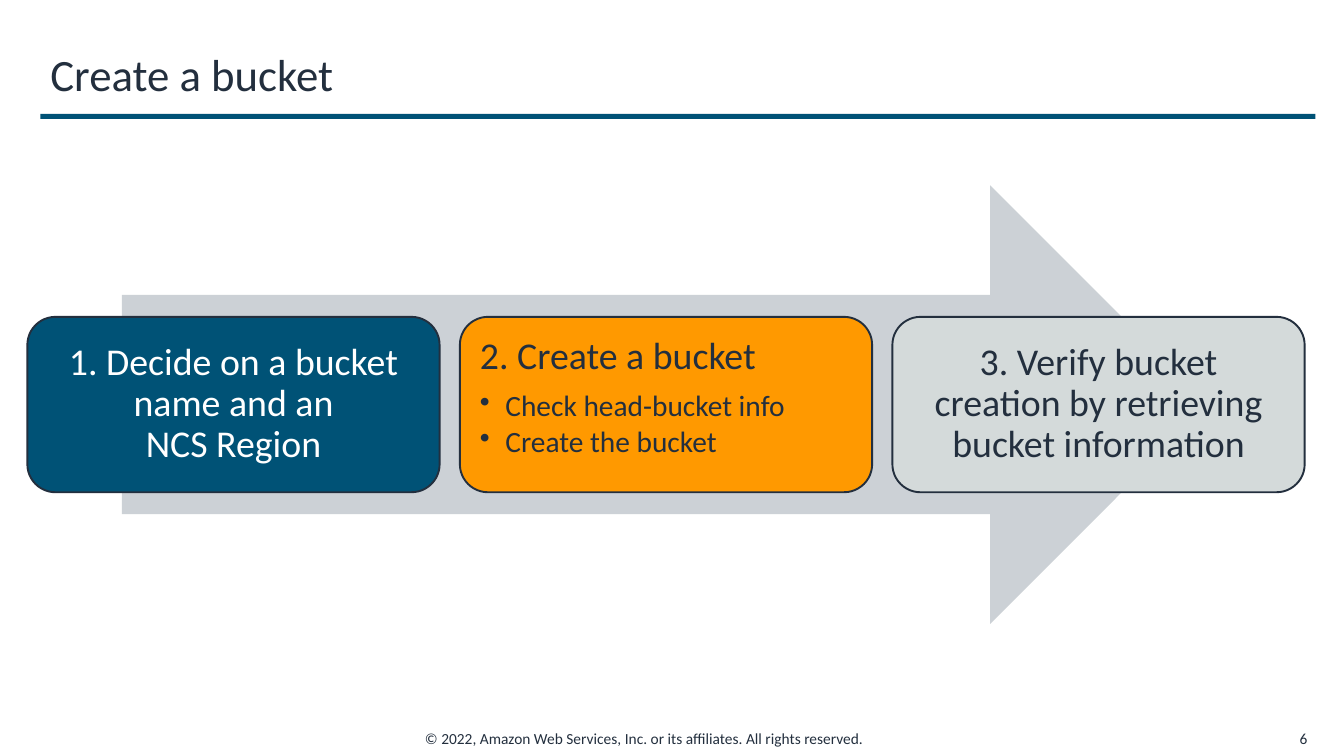
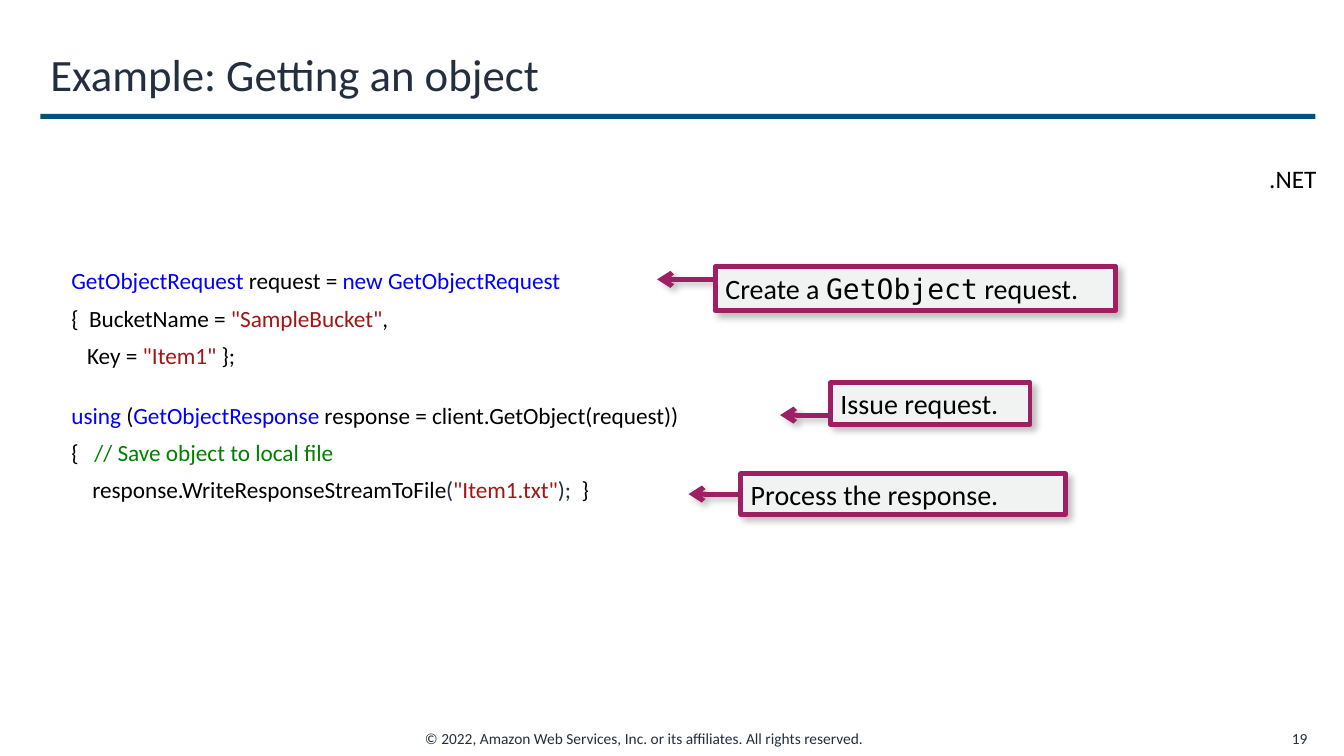
from lxml import etree
from pptx import Presentation, util as u
from pptx.dml.color import RGBColor
from pptx.enum import shapes, text
from pptx.oxml import ns

COLOURS = {
    "ink": "232F3E", "teal": "005276", "orange": "FF9900", "mist": "D4DADA",
    "arrow": "CCD1D6", "white": "FFFFFF", "black": "000000", "pale": "F1F3F3",
    "plum": "9E1F63", "keyword": "0000FF", "string": "A31515", "comment": "008000",
}
BODY_FONT, CODE_FONT = "Calibri", "DejaVu Sans Mono"
COPYRIGHT = "© 2022, Amazon Web Services, Inc. or its affiliates. All rights reserved."
LEFT, MIDDLE, RIGHT = text.PP_ALIGN.LEFT, text.PP_ALIGN.CENTER, text.PP_ALIGN.RIGHT

CARDS = [
    ("1. Decide on a bucket name and an\nNCS Region", [], "teal", "white"),
    ("2. Create a bucket", ["Check head-bucket info", "Create the bucket"], "orange", "ink"),
    ("3. Verify bucket creation by retrieving bucket information", [], "mist", "ink"),
]
CODE = [
    ([("GetObjectRequest", "keyword"), (" request = ", "black"),
      ("new GetObjectRequest", "keyword")], 10.7),
    ([("{  BucketName = ", "black"), ('"SampleBucket"', "string"), (",", "black")], 10.7),
    ([("   Key = ", "black"), ('"Item1"', "string"), (" };", "black")], 26.9),
    ([("using", "keyword"), (" (", "black"), ("GetObjectResponse", "keyword"),
      (" response = client.GetObject(request))", "black")], 10.7),
    ([("{   ", "black"), ("// Save object to local file", "comment")], 10.7),
    ([("    response.WriteResponseStreamToFile", "black"), ("(", "ink"),
      ('"Item1.txt"', "string"), (");  ", "ink"), ("}", "black")], 0),
]
CALLOUTS = [
    ((18.03, 6.71, 10.08, 1.12), 1.47, 0.33,
     [("Create a ", BODY_FONT), ("GetObject", CODE_FONT), (" request.", BODY_FONT)]),
    ((20.93, 9.65, 5.03, 1.04), 1.27, 0.81, [("Issue request.", BODY_FONT)]),
    ((18.67, 11.94, 8.18, 1.02), 1.32, 0.51, [("Process the response.", BODY_FONT)]),
]


def rgb(name):
    """Return the named colour."""
    return RGBColor.from_string(COLOURS[name])


def lengths(*values):
    """Turn centimetres into lengths."""
    return [u.Cm(value) for value in values]


def add_span(para, words, size, colour, font=BODY_FONT):
    """Add one run, breaking the line at each newline."""
    for index, part in enumerate(words.split("\n")):
        if index:
            para.add_line_break()
        span = para.add_run()
        span.text = part
        span.font.size, span.font.name = u.Pt(size), font
        span.font.color.rgb = rgb(colour)


def add_para(frame, align=LEFT, spacing=1.0, after=0, bullet=False):
    """Return the first unused paragraph of a frame, styled."""
    first = frame.paragraphs[0]
    para = frame.add_paragraph() if first.runs else first
    if bullet:
        properties = para._p.get_or_add_pPr()
        properties.set("marL", str(u.Cm(0.64)))
        properties.set("indent", str(-u.Cm(0.64)))
        etree.SubElement(properties, ns.qn("a:buChar"), char="•")
    para.alignment, para.line_spacing = align, spacing
    para.space_after = u.Pt(after)
    return para


def add_text(page, box, words, size, colour="ink", align=LEFT, inset=None,
             anchor=text.MSO_ANCHOR.MIDDLE):
    """Add a text box and return its frame."""
    frame = page.shapes.add_textbox(*lengths(*box)).text_frame
    frame.word_wrap, frame.vertical_anchor = True, anchor
    if inset is not None:
        set_inset(frame, inset)
    if words:
        add_span(add_para(frame, align), words, size, colour)
    return frame


def set_inset(frame, across, down=None):
    """Set the inner margins of a frame."""
    frame.margin_left = frame.margin_right = u.Cm(across)
    frame.margin_top = frame.margin_bottom = u.Cm(across if down is None else down)


def add_block(page, kind, box, fill, line=None, width=0):
    """Add a filled preset shape without a shadow."""
    block = page.shapes.add_shape(kind, *lengths(*box))
    block.shadow.inherit = False
    block.fill.solid()
    block.fill.fore_color.rgb = rgb(fill)
    if line:
        block.line.color.rgb, block.line.width = rgb(line), u.Pt(width)
    else:
        block.line.fill.background()
    return block


def add_shadow(item):
    """Give a shape or connector a soft shadow to the lower right."""
    properties = item.element.spPr
    effects = properties.find(ns.qn("a:effectLst"))
    if effects is None:
        effects = etree.SubElement(properties, ns.qn("a:effectLst"))
    shadow = etree.SubElement(effects, ns.qn("a:outerShdw"), blurRad=str(u.Pt(5)),
                              dist=str(u.Pt(4.2)), dir="2700000", algn="tl", rotWithShape="0")
    tint = etree.SubElement(shadow, ns.qn("a:srgbClr"), val=COLOURS["black"])
    etree.SubElement(tint, ns.qn("a:alpha"), val="25000")


def add_page(deck, title, number):
    """Add a slide with the shared title, rule and footer."""
    page = deck.slides.add_slide(deck.slide_layouts[6])
    add_text(page, (10.46, 18.24, 12.93, 0.74), COPYRIGHT, 11, anchor=text.MSO_ANCHOR.TOP)
    add_block(page, shapes.MSO_SHAPE.RECTANGLE, (1.02, 2.87, 32.13, 0.13), "teal")
    add_text(page, (31.85, 18.24, 1.35, 0.74), str(number), 11, align=RIGHT)
    add_text(page, (1.02, 0.84, 32.13, 2.03), title, 32)
    return page


def add_card(page, box, heading, points, fill, colour):
    """Add a rounded step card, centred unless it lists points."""
    card = add_block(page, shapes.MSO_SHAPE.ROUNDED_RECTANGLE, box, fill, "ink", 1.35)
    card.adjustments[0] = 0.16
    frame = card.text_frame
    frame.word_wrap = True
    frame.vertical_anchor = text.MSO_ANCHOR.TOP if points else text.MSO_ANCHOR.MIDDLE
    set_inset(frame, 0.3)
    align = LEFT if points else MIDDLE
    add_span(add_para(frame, align, 0.9, 9.45), heading, 27, colour)
    for point in points:
        add_span(add_para(frame, LEFT, 0.9, 3.15, bullet=True), point, 21, colour)


def add_process(page, box, gap):
    """Add the wide arrow with equally spaced step cards over it."""
    left, top, width, height = box
    add_block(page, shapes.MSO_SHAPE.RIGHT_ARROW,
              (left + 2.38, top, width - 4.78, height), "arrow")
    card_width = (width - gap * (len(CARDS) - 1)) / len(CARDS)
    card_height = height * 0.4
    for index, card in enumerate(CARDS):
        place = (left + index * (card_width + gap), top + (height - card_height) / 2,
                 card_width, card_height)
        add_card(page, place, *card)


def add_code(page, box):
    """Add the coloured code listing."""
    frame = add_text(page, box, "", 16.6, anchor=text.MSO_ANCHOR.TOP)
    for spans, after in CODE:
        para = add_para(frame, spacing=0.8, after=after)
        for words, colour in spans:
            add_span(para, words, 16.6, colour)


def add_callout(page, box, reach, drop, spans):
    """Add a framed note with an arrow leaving its left edge."""
    left, top = box[:2]
    arrow = page.shapes.add_connector(
        shapes.MSO_CONNECTOR.STRAIGHT,
        *lengths(left, top + drop, left - reach, top + drop))
    arrow.line.color.rgb, arrow.line.width = rgb("plum"), u.Pt(3.5)
    etree.SubElement(arrow.element.spPr.find(ns.qn("a:ln")), ns.qn("a:tailEnd"), type="arrow")
    note = add_block(page, shapes.MSO_SHAPE.RECTANGLE, box, "pale", "plum", 3.5)
    for item in (arrow, note):
        add_shadow(item)
    frame = note.text_frame
    frame.word_wrap, frame.vertical_anchor = True, text.MSO_ANCHOR.MIDDLE
    set_inset(frame, 0.25, 0.13)
    para = add_para(frame)
    for words, font in spans:
        add_span(para, words, 20, "black", font)


def main():
    """Build and save the deck."""
    deck = Presentation()
    deck.slide_width, deck.slide_height = lengths(33.87, 19.05)
    page = add_page(deck, "Create a bucket", 6)
    add_process(page, (0.69, 4.67, 32.19, 11.05), 0.51)
    page = add_page(deck, "Example: Getting an object", 19)
    add_text(page, (31.4, 4.11, 2.36, 1.32), ".NET", 18, "black", MIDDLE, 0,
             text.MSO_ANCHOR.TOP)
    add_code(page, (1.55, 6.73, 30.1, 5.9))
    for callout in CALLOUTS:
        add_callout(page, *callout)
    deck.save("out.pptx")


if __name__ == "__main__":
    main()
